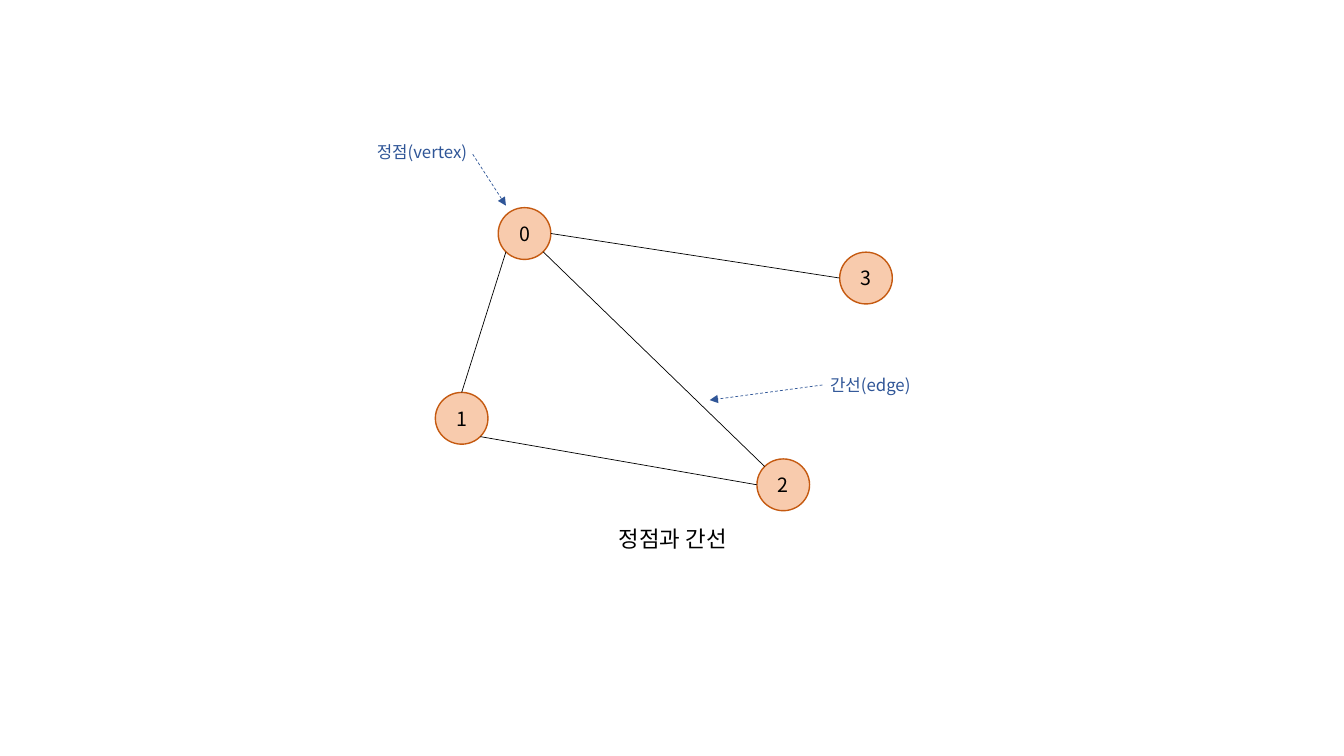
from math import cos, radians, sin

from lxml.etree import SubElement
from pptx import Presentation
from pptx.dml.color import RGBColor
from pptx.enum.dml import MSO_LINE
from pptx.enum.shapes import MSO_CONNECTOR, MSO_SHAPE
from pptx.enum.text import MSO_ANCHOR, MSO_AUTO_SIZE, PP_ALIGN
from pptx.oxml.ns import qn
from pptx.util import Pt

COLORS = {
    "black": "000000",
    "node_fill": "F8CBAD",
    "node_line": "C55A11",
    "note": "2F5597",
}
NODE_WIDTH, NODE_HEIGHT = 37.6, 37


class GraphSlide:
    """Holds the style and the current slide."""

    def __init__(self, slide, font_name):
        self.slide = slide
        self.font_name = font_name

    def color(self, name):
        return RGBColor.from_string(COLORS[name])

    def add_text(self, shape, text, size, color, **frame_format):
        frame = shape.text_frame
        for name, value in frame_format.items():
            setattr(frame, name, value)
        paragraph = frame.paragraphs[0]
        paragraph.alignment = PP_ALIGN.CENTER
        run = paragraph.add_run()
        run.text = text
        run.font.color.rgb = self.color(color)
        for name, value in {"size": Pt(size), "name": self.font_name}.items():
            setattr(run.font, name, value)
        # East Asian glyphs take the same font
        SubElement(run.font._element, qn("a:ea"), typeface=self.font_name)

    def node(self, text, left, top):
        shape = self.slide.shapes.add_shape(
            MSO_SHAPE.OVAL, Pt(left), Pt(top), Pt(NODE_WIDTH), Pt(NODE_HEIGHT))
        shape.shadow.inherit = False
        shape.fill.solid()
        shape.fill.fore_color.rgb = self.color("node_fill")
        shape.line.color.rgb = self.color("node_line")
        shape.line.width = Pt(1)
        self.add_text(shape, text, 14, "black", vertical_anchor=MSO_ANCHOR.MIDDLE)
        return shape

    def line(self, start, end, color):
        points = [Pt(value) for value in (*start, *end)]
        connector = self.slide.shapes.add_connector(MSO_CONNECTOR.STRAIGHT, *points)
        connector.line.color.rgb = self.color(color)
        connector.line.width = Pt(0.5)
        SubElement(connector._element.spPr, qn("a:effectLst"))
        return connector

    def site(self, node, index):
        """Ellipse sites run counterclockwise from the top, 45 degrees apart."""
        angle = radians(45 * index)
        return (node.left.pt + NODE_WIDTH / 2 * (1 - sin(angle)),
                node.top.pt + NODE_HEIGHT / 2 * (1 - cos(angle)))

    def edge(self, first, first_site, second, second_site):
        connector = self.line(
            self.site(first, first_site), self.site(second, second_site), "black")
        # Ellipses have eight sites, so the joins are set directly
        joins = connector._element.nvCxnSpPr.cNvCxnSpPr
        for tag, node, index in (("a:stCxn", first, first_site),
                                 ("a:endCxn", second, second_site)):
            SubElement(joins, qn(tag), id=str(node.shape_id), idx=str(index))

    def arrow(self, start, end):
        connector = self.line(start, end, "note")
        connector.line.dash_style = MSO_LINE.DASH
        outline = connector._element.spPr.find(qn("a:ln"))
        SubElement(outline, qn("a:tailEnd"), type="triangle")

    def label(self, text, left, top, width, height, size, color):
        box = self.slide.shapes.add_textbox(Pt(left), Pt(top), Pt(width), Pt(height))
        self.add_text(box, text, size, color, word_wrap=True,
                      auto_size=MSO_AUTO_SIZE.SHAPE_TO_FIT_TEXT)


def main():
    presentation = Presentation()
    presentation.slide_width, presentation.slide_height = Pt(960), Pt(540)
    slide = presentation.slides.add_slide(presentation.slide_layouts[6])
    graph = GraphSlide(slide, "Noto Sans CJK KR")

    # Vertices
    places = [(355.9, 148.3), (311, 280.3), (540.7, 327.8), (599.8, 180.1)]
    nodes = [graph.node(str(number), *place) for number, place in enumerate(places)]

    # Edges: vertex and site at each end
    for first, first_site, second, second_site in (
            (0, 6, 3, 2), (1, 0, 0, 3), (2, 2, 1, 5), (2, 1, 0, 5)):
        graph.edge(nodes[first], first_site, nodes[second], second_site)

    # Notes with their arrows
    graph.label("정점(vertex)", 239.2, 97.9, 124.5, 21.8, 12, "note")
    graph.arrow((337.7, 110.2), (361.4, 146.9))
    graph.label("간선(edge)", 559.4, 264.2, 124.5, 21.8, 12, "note")
    graph.arrow((587.5, 275), (506.9, 285.8))

    # Caption
    graph.label("정점과 간선", 361.4, 371.5, 238.3, 26.6, 16, "black")

    presentation.save("out.pptx")


if __name__ == "__main__":
    main()
